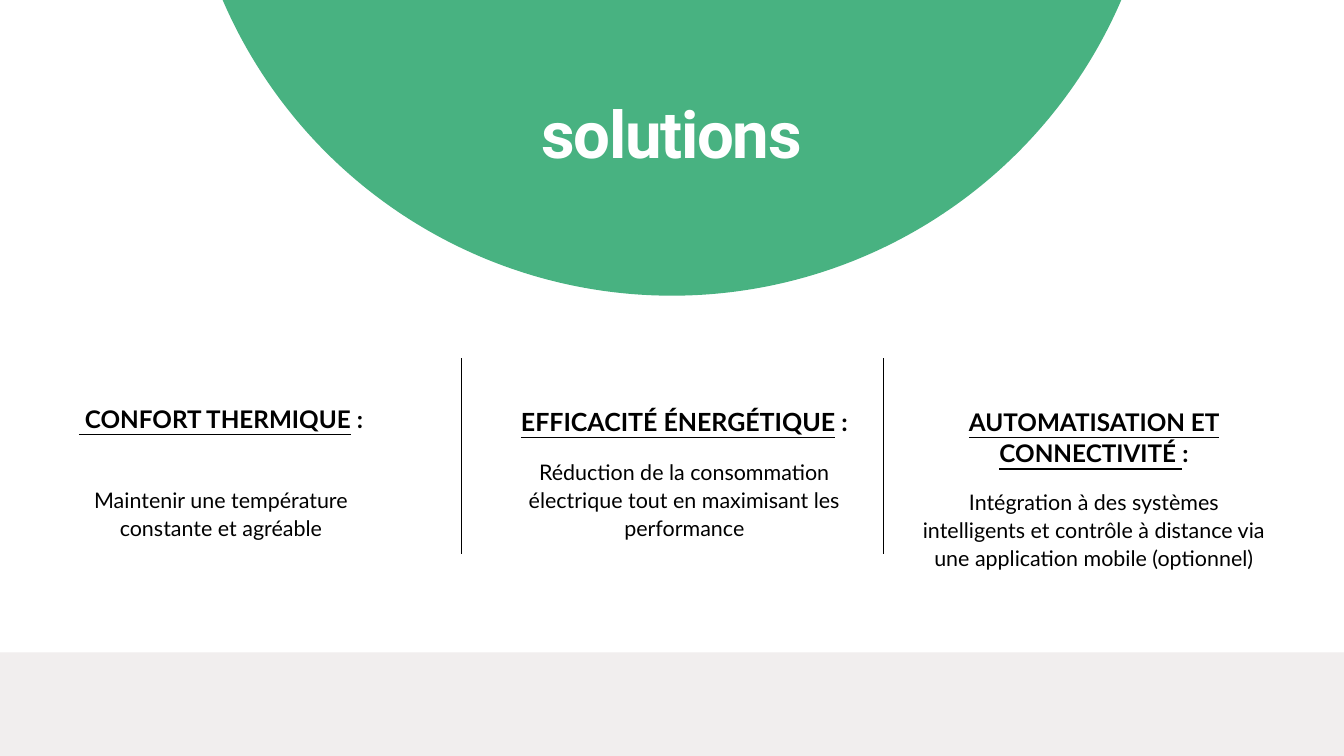
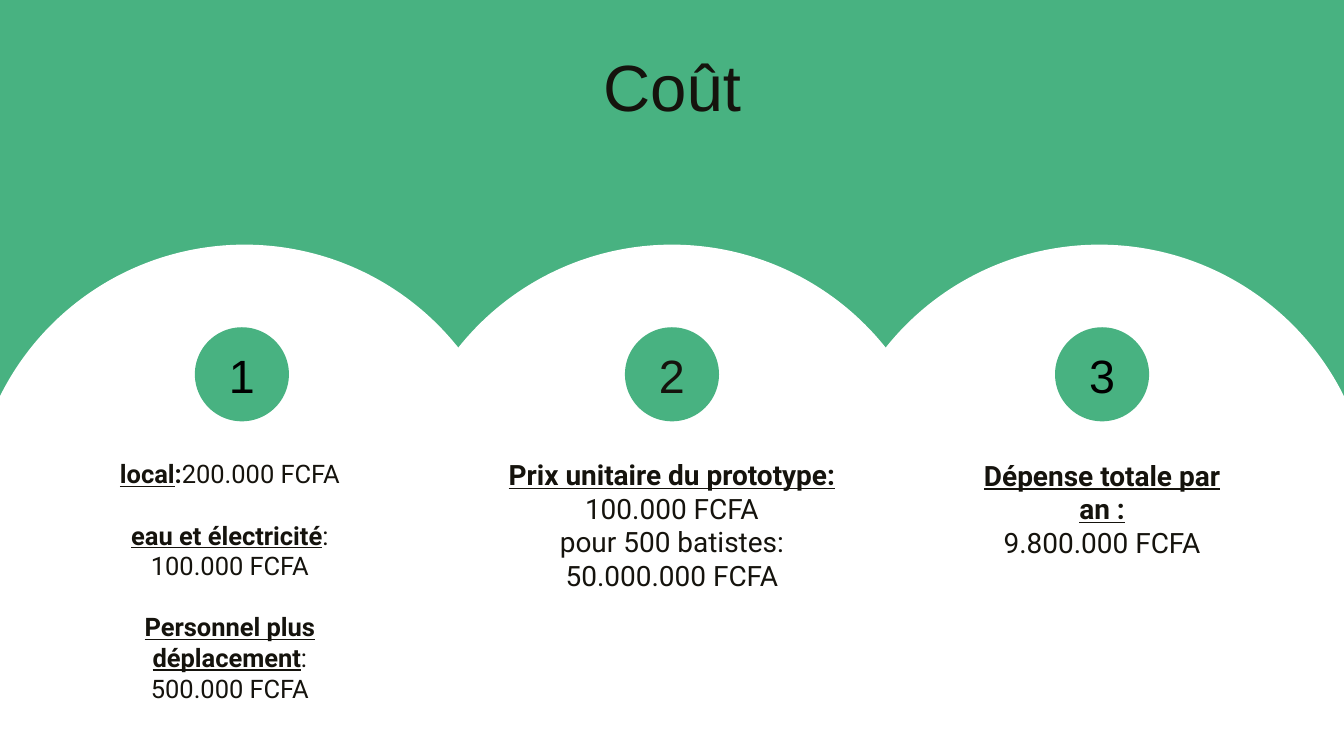
from pptx import Presentation
from pptx.dml.color import RGBColor
from pptx.enum.shapes import MSO_CONNECTOR, MSO_SHAPE
from pptx.enum.text import MSO_ANCHOR, MSO_AUTO_SIZE, PP_ALIGN
from pptx.oxml.ns import qn
from pptx.util import Inches, Pt

GREEN = RGBColor(0x48, 0xB2, 0x81)
WHITE = RGBColor(0xFF, 0xFF, 0xFF)
BLACK = RGBColor(0x00, 0x00, 0x00)
INK = RGBColor(0x15, 0x13, 0x0D)
PALE_GREY = RGBColor(0xF1, 0xEE, 0xEE)

SLIDE_WIDTH, SLIDE_HEIGHT = 20, 11.25
TITLE_SIZE = 70

# Run styles: (bold, underlined)
PLAIN = (False, False)
BOLD = (True, False)
UNDERLINED = (True, True)

# Each solution: left, width, heading top, heading size, heading runs, body top, body
SOLUTIONS = [
    (0.69, 5.2, 5.98, 26,
     [(" CONFORT THERMIQUE", UNDERLINED), (" :", BOLD)],
     7.21, "Maintenir une température constante et agréable"),
    (7.4, 5.57, 6.01, 26.8,
     [("EFFICACITÉ ÉNERGÉTIQUE", UNDERLINED), (" :", BOLD)],
     6.8, "Réduction de la consommation électrique tout en maximisant les performance"),
    (13.68, 5.2, 6.02, 26,
     [("AUTOMATISATION ET CONNECTIVITÉ ", UNDERLINED), (":", BOLD)],
     7.25, "Intégration à des systèmes intelligents et contrôle à distance "
           "via une application mobile (optionnel)"),
]

# Each cost: text box, size, line pitch, gap between paragraphs, number colour, paragraphs
COSTS = [
    ((1.58, 6.82, 3.68, 3.58), 27.3, 32.8, 32.8, BLACK, [
        [("local", UNDERLINED), (":", BOLD), ("200.000 FCFA", PLAIN)],
        [("eau et électricité", UNDERLINED), (": 100.000 FCFA", PLAIN)],
        [("Personnel plus déplacement", UNDERLINED), (": 500.000 FCFA", PLAIN)],
    ]),
    ((7.53, 6.81, 4.94, 2.51), 30, 36, 0, INK, [
        [("Prix unitaire du prototype:", UNDERLINED)],
        [("100.000 FCFA", PLAIN)],
        [("pour 500 batistes: 50.000.000 FCFA", PLAIN)],
    ]),
    ((14.29, 6.82, 4.22, 1.5), 30, 36, 0, BLACK, [
        [("Dépense totale par an :", UNDERLINED)],
        [("9.800.000 FCFA", PLAIN)],
    ]),
]


def add_page(deck, background):
    page = deck.slides.add_slide(deck.slide_layouts[6])
    page.background.fill.solid()
    page.background.fill.fore_color.rgb = background
    return page


def add_filled(page, kind, box, colour):
    shape = page.shapes.add_shape(kind, *map(Inches, box))
    shape.shadow.inherit = False
    shape.fill.solid()
    shape.fill.fore_color.rgb = colour
    shape.line.fill.background()
    return shape


def add_text(page, box, paragraphs, font, size, pitch, colour,
             gap=0, tracking=0, fixed=False):
    """Centred text; each paragraph is a list of (text, style), pitch is in points.

    A fixed box keeps its height and centres its text vertically.
    """
    frame = page.shapes.add_textbox(*map(Inches, box)).text_frame
    frame.word_wrap = True
    frame.margin_left = frame.margin_right = frame.margin_top = frame.margin_bottom = 0
    if fixed:
        frame.auto_size = MSO_AUTO_SIZE.NONE
        frame.vertical_anchor = MSO_ANCHOR.MIDDLE
    else:
        frame.auto_size = MSO_AUTO_SIZE.SHAPE_TO_FIT_TEXT
    for index, runs in enumerate(paragraphs):
        para = frame.add_paragraph() if index else frame.paragraphs[0]
        para.alignment = PP_ALIGN.CENTER
        para.line_spacing = Pt(pitch)
        if index and gap:
            para.space_before = Pt(gap)
        for text, (bold, underlined) in runs:
            span = para.add_run()
            span.text = text
            span.font.name = font
            span.font.size = Pt(size)
            span.font.bold = bold
            span.font.underline = underlined
            span.font.color.rgb = colour
            if tracking:
                span._r.get_or_add_rPr().set("spc", str(round(tracking * 100)))


def add_title(page, box, text, font, pitch, colour, style=PLAIN, tracking=0):
    add_text(page, box, [[(text, style)]], font, TITLE_SIZE, pitch, colour,
             tracking=tracking)


def add_divider(page, x, top, bottom):
    line = page.shapes.add_connector(
        MSO_CONNECTOR.STRAIGHT, Inches(x), Inches(top), Inches(x), Inches(bottom))
    line.line.color.rgb = BLACK
    line.line.width = Pt(0.75)
    properties = line._element.spPr
    properties.append(properties.makeelement(qn("a:effectLst"), {}))


def add_solution(page, left, width, heading_top, heading_size, heading, body_top, body):
    add_text(page, (left, body_top, width, 1.2), [[(body, PLAIN)]],
             "Lato", 23, 29.9, BLACK)
    add_text(page, (left, heading_top, width, 0.91), [heading],
             "Lato", heading_size, heading_size * 1.3, BLACK)


def add_badge(page, center, top, number, colour):
    size, text_width = 1.4, 1.14
    add_filled(page, MSO_SHAPE.OVAL, (center - size / 2, top, size, size), GREEN)
    add_text(page, (center - text_width / 2, top + 0.28, text_width, 0.99),
             [[(str(number), PLAIN)]], "Arial", 50, 50, colour, fixed=True)


def add_dome(page, center, top):
    width, height = 8.13, 8.98
    dome = add_filled(page, MSO_SHAPE.ROUND_2_SAME_RECTANGLE,
                      (center - width / 2, top, width, height), WHITE)
    dome.adjustments[0] = 0.5
    dome.adjustments[1] = 0


def build_solutions(deck):
    page = add_page(deck, WHITE)
    diameter, band_top = 14.56, 9.71
    add_filled(page, MSO_SHAPE.OVAL,
               ((SLIDE_WIDTH - diameter) / 2, -10.16, diameter, diameter), GREEN)
    add_filled(page, MSO_SHAPE.RECTANGLE,
               (0, band_top, SLIDE_WIDTH, SLIDE_HEIGHT - band_top), PALE_GREY)
    for x in (6.86, 13.14):
        add_divider(page, x, 5.33, 8.25)
    add_title(page, (5.89, 1.39, 8.21, 1.15), "solutions", "Roboto", 84, WHITE,
              BOLD, tracking=-1.4)
    for solution in SOLUTIONS:
        add_solution(page, *solution)


def build_costs(deck):
    page = add_page(deck, GREEN)
    middle, dome_step, badge_step = SLIDE_WIDTH / 2, 6.36, 6.4
    for offset in (1, 0, -1):
        add_dome(page, middle + offset * dome_step, 3.64)
    for index, (box, size, pitch, gap, number_colour, paragraphs) in enumerate(COSTS):
        add_badge(page, middle + (index - 1) * badge_step, 4.87, index + 1, number_colour)
        add_text(page, box, paragraphs, "Roboto", size, pitch, INK, gap=gap)
    add_title(page, (3.13, 0.8, 13.74, 1.09), "Coût", "Arial", 76.3, INK)


def main():
    deck = Presentation()
    deck.slide_width = Inches(SLIDE_WIDTH)
    deck.slide_height = Inches(SLIDE_HEIGHT)
    build_solutions(deck)
    build_costs(deck)
    deck.save("out.pptx")


if __name__ == "__main__":
    main()
